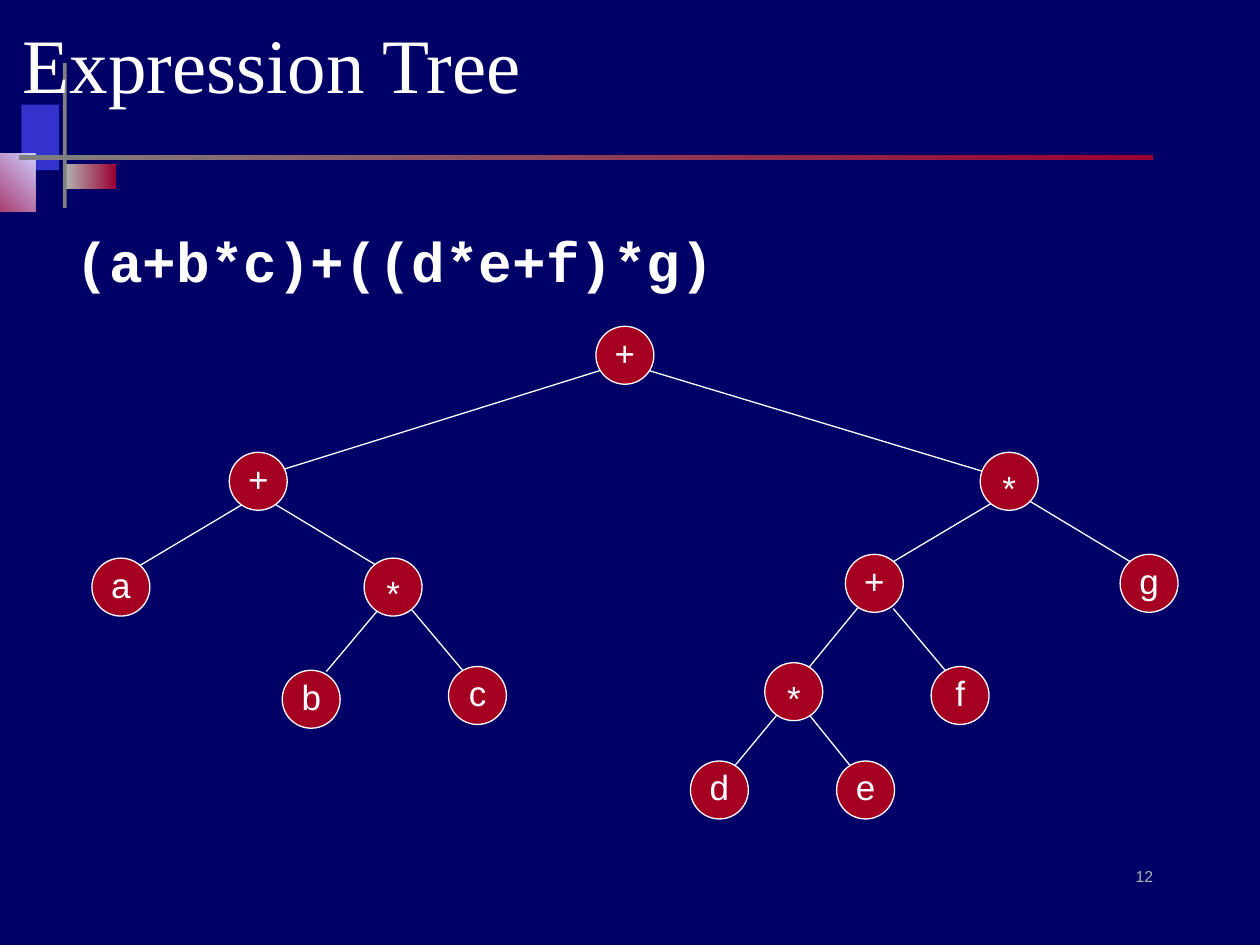
from dataclasses import dataclass
from lxml.etree import SubElement
from pptx import Presentation
from pptx.dml.color import RGBColor
from pptx.enum.shapes import MSO_CONNECTOR, MSO_SHAPE
from pptx.enum.text import MSO_ANCHOR, MSO_AUTO_SIZE, PP_ALIGN
from pptx.oxml.ns import qn
from pptx.util import Inches, Pt


@dataclass(frozen=True)
class Theme:
    background: str = "000066"
    text: str = "FFFFFF"
    muted: str = "B2B2B2"
    node: str = "A50021"
    blue: str = "3333CC"
    lavender: str = "CCCCFF"
    crimson: str = "990033"
    gray: str = "808080"
    title_size: int = 44
    body_size: int = 32
    node_size: int = 20
    number_size: int = 9
    line_width: float = 0.75


theme = Theme()
rgb = RGBColor.from_string


def write(sp, text, *, size, font="Arial", color=theme.text, bold=False,
          align=PP_ALIGN.LEFT, anchor=MSO_ANCHOR.TOP):
    tf = sp.text_frame
    tf.word_wrap = True
    tf.auto_size = MSO_AUTO_SIZE.NONE
    tf.vertical_anchor = anchor
    p = tf.paragraphs[0]
    p.alignment = align
    p.space_before = Pt(0)
    r = p.add_run()
    r.text = text
    r.font.size = Pt(size)
    r.font.name = font
    r.font.bold = bold
    r.font.color.rgb = rgb(color)
    return p


prs = Presentation()
prs.slide_width, prs.slide_height = Inches(10), Inches(7.5)
slide = prs.slides.add_slide(prs.slide_layouts[1])
slide.background.fill.solid()
slide.background.fill.fore_color.rgb = rgb(theme.background)
title, body = slide.placeholders

# Corner decoration: box, colours (two make a gradient), gradient angle
decorations = [
    ((0.17, 0.83, 0.3, 0.52), [theme.blue], 0),
    ((0.52, 1.3, 0.4, 0.2), [theme.muted, theme.crimson], 0),
    ((-0.33, 1.22, 0.61, 0.46), [theme.crimson, theme.lavender], 45),
    ((0.5, 0.5, 0.03, 1.15), [theme.gray], 0),
    ((0.15, 1.23, 9, 0.04), [theme.gray, theme.crimson], 0),
]
for box, colors, angle in decorations:
    sp = slide.shapes.add_shape(MSO_SHAPE.RECTANGLE, *map(Inches, box))
    sp.shadow.inherit = False
    sp.line.fill.background()
    if len(colors) == 1:
        sp.fill.solid()
        sp.fill.fore_color.rgb = rgb(colors[0])
    else:
        sp.fill.gradient()
        sp.fill.gradient_angle = angle
        for stop, color in zip(sp.fill.gradient_stops, colors):
            stop.color.rgb = rgb(color)
    # Decoration lies behind the title and the expression
    title._element.addprevious(sp._element)

# Title and expression
title.left, title.top, title.width, title.height = map(Inches, (0.08, 0, 9, 1))
write(title, "Expression Tree", size=theme.title_size, font="Times New Roman",
      anchor=MSO_ANCHOR.MIDDLE)

body.left, body.top, body.width, body.height = map(Inches, (0.5, 1.75, 9, 0.92))
p = write(body, "(a+b*c)+((d*e+f)*g)", size=theme.body_size, font="Courier New",
          bold=True)
pPr = p._p.get_or_add_pPr()
pPr.set("marL", str(Inches(0.38)))
pPr.set("indent", str(Inches(-0.38)))
SubElement(pPr, qn("a:buNone"))

# Slide number
sp = slide.shapes.add_textbox(*map(Inches, (7.17, 6.83, 2.08, 0.5)))
write(sp, "12", size=theme.number_size, color=theme.muted, align=PP_ALIGN.RIGHT)

# Tree edges, from parent to child
edges = [
    (4.83, 2.92, 2.17, 3.75), (5.08, 2.92, 7.83, 3.75),
    (1.93, 4, 1.09, 4.5), (2.18, 4, 3.01, 4.5),
    (3.01, 4.83, 2.59, 5.33), (3.26, 4.83, 3.68, 5.33),
    (7.91, 3.97, 7.07, 4.47), (8.16, 3.97, 8.99, 4.47),
    (6.82, 4.81, 6.41, 5.31), (7.09, 4.83, 7.51, 5.33),
    (6.17, 5.67, 5.83, 6.08), (6.42, 5.67, 6.75, 6.08),
]
for edge in edges:
    line = slide.shapes.add_connector(MSO_CONNECTOR.STRAIGHT, *map(Inches, edge))
    line.line.color.rgb = rgb(theme.text)
    line.line.width = Pt(theme.line_width)
    SubElement(line._element.spPr, qn("a:effectLst"))

# Tree nodes: label, left and top of the circle
nodes = [
    ("+", 4.73, 2.59),
    ("+", 1.82, 3.59), ("*", 7.78, 3.59),
    ("a", 0.73, 4.43), ("*", 2.89, 4.43), ("+", 6.71, 4.4), ("g", 8.89, 4.4),
    ("b", 2.24, 5.32), ("c", 3.56, 5.29), ("*", 6.07, 5.26), ("f", 7.39, 5.29),
    ("d", 5.48, 6.04), ("e", 6.64, 6.04),
]
for label, x, y in nodes:
    group = slide.shapes.add_group_shape()
    sp = group.shapes.add_shape(MSO_SHAPE.OVAL, Inches(x), Inches(y),
                                Inches(0.46), Inches(0.46))
    sp.shadow.inherit = False
    sp.fill.solid()
    sp.fill.fore_color.rgb = rgb(theme.node)
    sp.line.color.rgb = rgb(theme.text)
    sp.line.width = Pt(theme.line_width)
    # The asterisk glyph sits high, so its label is lowered
    shift = 0.06 if label == "*" else -0.01
    sp = group.shapes.add_textbox(Inches(x - 0.065), Inches(y + shift),
                                  Inches(0.59), Inches(0.44))
    write(sp, label, size=theme.node_size, align=PP_ALIGN.CENTER)

prs.save("out.pptx")
